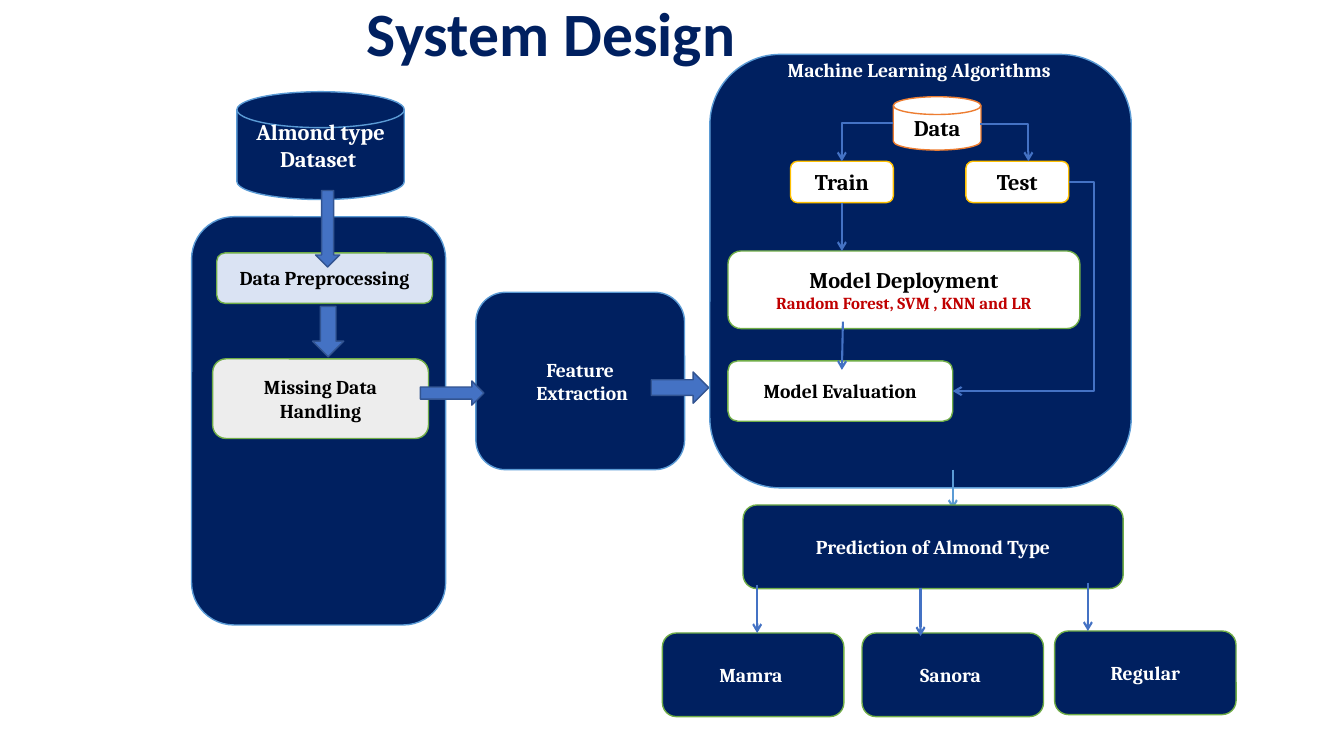
from lxml import etree
from pptx import Presentation
from pptx.dml.color import RGBColor
from pptx.enum.shapes import MSO_CONNECTOR, MSO_SHAPE
from pptx.enum.text import MSO_ANCHOR, PP_ALIGN
from pptx.oxml.ns import qn
from pptx.util import Inches, Pt

ROUND = MSO_SHAPE.ROUNDED_RECTANGLE
DISK = MSO_SHAPE.FLOWCHART_MAGNETIC_DISK
DOWN = MSO_SHAPE.DOWN_ARROW
RIGHT = MSO_SHAPE.RIGHT_ARROW
STRAIGHT = MSO_CONNECTOR.STRAIGHT
ELBOW = MSO_CONNECTOR.ELBOW
CENTER = PP_ALIGN.CENTER
LEFT = PP_ALIGN.LEFT
MIDDLE = MSO_ANCHOR.MIDDLE
TOP = MSO_ANCHOR.TOP

NAVY = "002060"
WHITE = "FFFFFF"
BLACK = "000000"
RED = "C00000"
SKY = "5B9BD5"
BLUE = "4472C4"
EDGE = "325491"
GREEN = "70AD47"
GOLD = "FFC000"
ORANGE = "ED7D31"


def color(code):
    return RGBColor.from_string(code)


class Chart:
    font = "Cambria"

    def __init__(self, slide):
        self.shapes = slide.shapes

    def style(self, part, size, ink, font=None):
        part.alignment = CENTER
        for run in part.runs:
            run.font.name = font or self.font
            run.font.size = Pt(size)
            run.font.bold = True
            run.font.color.rgb = color(ink)

    def letter(self, shape, text, size, ink, anchor=MIDDLE, font=None):
        frame = shape.text_frame
        frame.word_wrap = True
        frame.vertical_anchor = anchor
        frame.text = text
        for part in frame.paragraphs:
            self.style(part, size, ink, font)
        return frame

    def box(self, kind, place, fill, line, text="", size=14, ink=WHITE):
        shape = self.shapes.add_shape(kind, *map(Inches, place))
        shape.shadow.inherit = False
        shape.fill.solid()
        shape.fill.fore_color.rgb = color(fill)
        shape.line.color.rgb = color(line)
        shape.line.width = Pt(1)
        if text:
            self.letter(shape, text, size, ink)
        return shape

    def label(self, place, text, size, ink, font=None):
        shape = self.shapes.add_textbox(*map(Inches, place))
        return self.letter(shape, text, size, ink, TOP, font)

    def block(self, kind, place):
        return self.box(kind, place, BLUE, EDGE)

    def arrow(self, x1, y1, x2, y2, ink=BLUE, kind=STRAIGHT):
        line = self.shapes.add_connector(kind, *map(Inches, (x1, y1, x2, y2)))
        line.line.color.rgb = color(ink)
        line.line.width = Pt(1.5)
        props = line._element.spPr
        etree.SubElement(props.find(qn("a:ln")), qn("a:tailEnd"), type="arrow")
        etree.SubElement(props, qn("a:effectLst"))
        return line

    def corner(self, x1, y1, x2, y2):
        line = self.arrow(x1, y1, x2, y2, kind=ELBOW)
        line._element.spPr.find(qn("a:prstGeom")).set("prst", "bentConnector2")

    def detour(self, x1, y1, x2, y2, bend):
        line = self.arrow(x1, y1, x2, y2, kind=ELBOW)
        geom = line._element.spPr.find(qn("a:prstGeom"))
        guides = geom.find(qn("a:avLst"))
        value = f"val {round(bend * 100000)}"
        etree.SubElement(guides, qn("a:gd"), name="adj1", fmla=value)


def prepare(art):
    store = art.box(DISK, (2.35, 0.91, 1.66, 1.07), NAVY, SKY,
                    "Almond type Dataset ", 16)
    store.text_frame.margin_bottom = Inches(0.24)
    art.box(ROUND, (1.9, 2.15, 2.52, 4.05), NAVY, SKY)
    art.box(ROUND, (2.15, 2.51, 2.14, 0.5), "DAE3F3", GREEN,
            "Data Preprocessing", ink=BLACK)
    art.box(ROUND, (2.11, 3.56, 2.14, 0.79), "EDEDED", GREEN,
            "Missing Data Handling", ink=BLACK)
    art.box(ROUND, (4.72, 2.9, 2.07, 1.76), NAVY, SKY,
            "Feature\n Extraction")


def learn(art):
    art.box(ROUND, (7.04, 0.54, 4.18, 4.3), NAVY, SKY)
    art.label((7.68, 0.53, 2.92, 0.34), "Machine Learning Algorithms ",
              14, WHITE)
    art.box(DISK, (8.86, 0.96, 0.87, 0.53), WHITE, ORANGE, "Data", 16, BLACK)
    train, test = [
        art.box(ROUND, (x, 1.6, 1.02, 0.41), WHITE, GOLD, text, 16, BLACK)
        for x, text in ((7.84, "Train"), (9.58, "Test"))
    ]
    model = art.box(ROUND, (7.22, 2.49, 3.49, 0.77), WHITE, GREEN,
                    "Model Deployment\nRandom Forest, SVM , KNN and LR",
                    16, BLACK)
    art.style(model.text_frame.paragraphs[1], 12, RED)
    art.box(ROUND, (7.22, 3.58, 2.23, 0.6), WHITE, GREEN,
            "Model Evaluation", ink=BLACK)
    art.corner(8.86, 1.22, 8.35, 1.6)
    art.corner(9.72, 1.23, 10.2, 1.6)
    art.arrow(8.35, 2.01, 8.35, 2.49).begin_connect(train, 2)
    art.arrow(8.36, 3.19, 8.35, 3.67)
    art.detour(10.6, 1.81, 9.45, 3.88, -0.22)


def predict(art):
    art.arrow(9.45, 4.66, 9.45, 5.05, SKY)
    art.box(ROUND, (7.37, 5.01, 3.77, 0.83), NAVY, GREEN,
            "Prediction of Almond Type")
    kinds = (
        ("Mamra ", 6.57, 6.28, 7.51, 5.8),
        ("Sanora ", 8.55, 6.28, 9.13, 5.83),
        ("Regular", 10.46, 6.26, 10.79, 5.78),
    )
    for text, x, y, stem, start in kinds:
        art.box(ROUND, (x, y, 1.8, 0.83), NAVY, GREEN, text)
        art.arrow(stem, start, stem, start + 0.48)


def main():
    deck = Presentation()
    deck.slide_width = Inches(13.33)
    deck.slide_height = Inches(7.5)
    art = Chart(deck.slides.add_slide(deck.slide_layouts[6]))
    prepare(art)
    learn(art)
    predict(art)
    art.block(DOWN, (3.13, 1.89, 0.24, 0.76))
    art.block(DOWN, (3.1, 3.04, 0.31, 0.5))
    art.block(RIGHT, (4.17, 3.78, 0.63, 0.24))
    art.block(RIGHT, (6.46, 3.69, 0.57, 0.31))
    title = art.label((3.54, -0.02, 9.79, 1.45), "System Design",
                      44, NAVY, "Calibri")
    title.paragraphs[0].alignment = LEFT
    title.paragraphs[0].line_spacing = 0.9
    deck.save("out.pptx")


if __name__ == "__main__":
    main()
